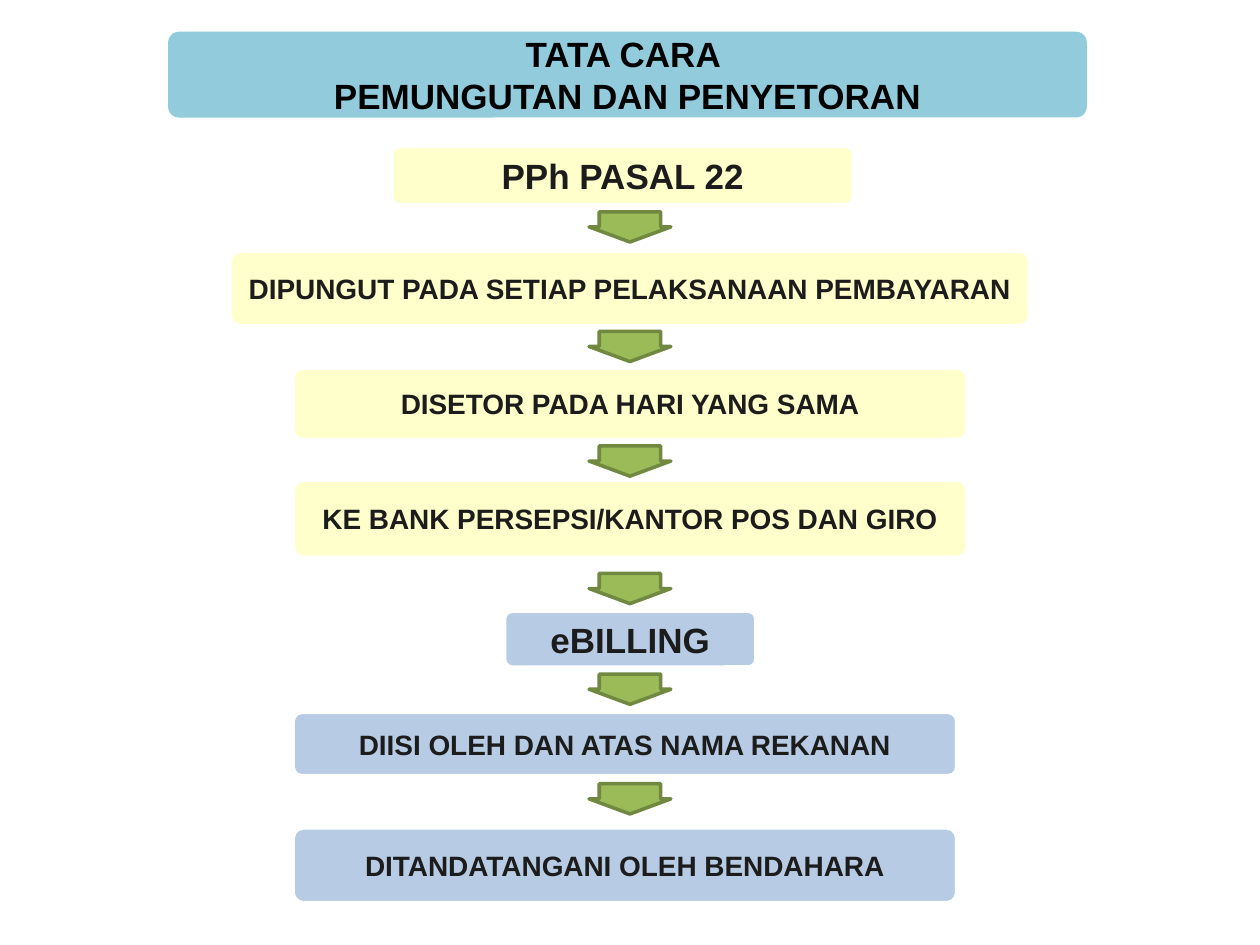
"""Build a flow chart slide on collecting and depositing PPh Pasal 22."""
from pptx import Presentation
from pptx.dml.color import RGBColor
from pptx.enum.shapes import MSO_SHAPE
from pptx.enum.text import MSO_ANCHOR, PP_ALIGN
from pptx.util import Cm, Pt

ROUNDED = MSO_SHAPE.ROUNDED_RECTANGLE
DOWN_ARROW = MSO_SHAPE.DOWN_ARROW
MIDDLE = MSO_ANCHOR.MIDDLE
CENTER = PP_ALIGN.CENTER

COLORS = {
    "title": "92CCDC",
    "tax": "FFFFCC",
    "billing": "B7CCE4",
    "white": "FFFFFF",
    "black": "000000",
    "text": "1C1C1C",
    "arrow": "9BBB59",
    "arrow_line": "718841",
}
SLIDE_WIDTH, SLIDE_HEIGHT = 25.4, 19.05
ARROW_WIDTH, ARROW_HEIGHT = 1.65, 0.61

TITLE_LINES = ["TATA CARA ", "PEMUNGUTAN DAN PENYETORAN"]
TITLE_BOX = (3.39, 0.64, 18.52, 1.73)
STEPS = [
    ("PPh PASAL 22", "tax", 20, (7.92, 2.97, 9.27, 1.14)),
    ("DIPUNGUT PADA SETIAP PELAKSANAAN PEMBAYARAN", "tax", 16, (4.66, 5.08, 16.08, 1.47)),
    ("DISETOR PADA HARI YANG SAMA", "tax", 16, (5.93, 7.44, 13.55, 1.4)),
    ("KE BANK PERSEPSI/KANTOR POS DAN GIRO", "tax", 16, (5.93, 9.7, 13.55, 1.52)),
    ("eBILLING", "billing", 20, (10.19, 12.34, 5.03, 1.09)),
    ("DIISI OLEH DAN ATAS NAMA REKANAN", "billing", 16, (5.93, 14.38, 13.34, 1.24)),
    ("DITANDATANGANI OLEH BENDAHARA", "billing", 16, (5.93, 16.71, 13.34, 1.47)),
]
ARROW_TOPS = [4.27, 6.68, 8.99, 11.56, 13.59, 15.8]


def color(name):
    """Return the named colour."""
    return RGBColor.from_string(COLORS[name])


def add_shape(slide, kind, box, fill, line=None, line_width=1):
    """Add a flat filled shape with an optional outline."""
    shape = slide.shapes.add_shape(kind, *(Cm(length) for length in box))
    shape.shadow.inherit = False
    shape.fill.solid()
    shape.fill.fore_color.rgb = color(fill)
    if line:
        shape.line.color.rgb = color(line)
        shape.line.width = Pt(line_width)
    else:
        shape.line.fill.background()
    return shape


def add_box(slide, lines, box, fill, size, text_color, line=None):
    """Add a rounded box with centred bold lines of text."""
    shape = add_shape(slide, ROUNDED, box, fill, line)
    shape.adjustments[0] = 0.125
    frame = shape.text_frame
    frame.word_wrap = False
    frame.vertical_anchor = MIDDLE
    for index, text in enumerate(lines):
        paragraph = frame.add_paragraph() if index else frame.paragraphs[0]
        paragraph.alignment = CENTER
        run = paragraph.add_run()
        run.text = text
        run.font.name = "Arial"
        run.font.size = Pt(size)
        run.font.bold = True
        run.font.color.rgb = color(text_color)


def main():
    """Create and save the presentation."""
    presentation = Presentation()
    presentation.slide_width = Cm(SLIDE_WIDTH)
    presentation.slide_height = Cm(SLIDE_HEIGHT)
    slide = presentation.slides.add_slide(presentation.slide_layouts[6])

    add_box(slide, TITLE_LINES, TITLE_BOX, "title", 20, "black")
    for text, fill, size, box in STEPS:
        add_box(slide, [text], box, fill, size, "text", "white")

    arrow_left = (SLIDE_WIDTH - ARROW_WIDTH) / 2
    for top in ARROW_TOPS:
        box = (arrow_left, top, ARROW_WIDTH, ARROW_HEIGHT)
        arrow = add_shape(slide, DOWN_ARROW, box, "arrow", "arrow_line", 2)
        arrow.adjustments[0] = 0.75
        arrow.adjustments[1] = 0.5

    presentation.save("out.pptx")


if __name__ == "__main__":
    main()
